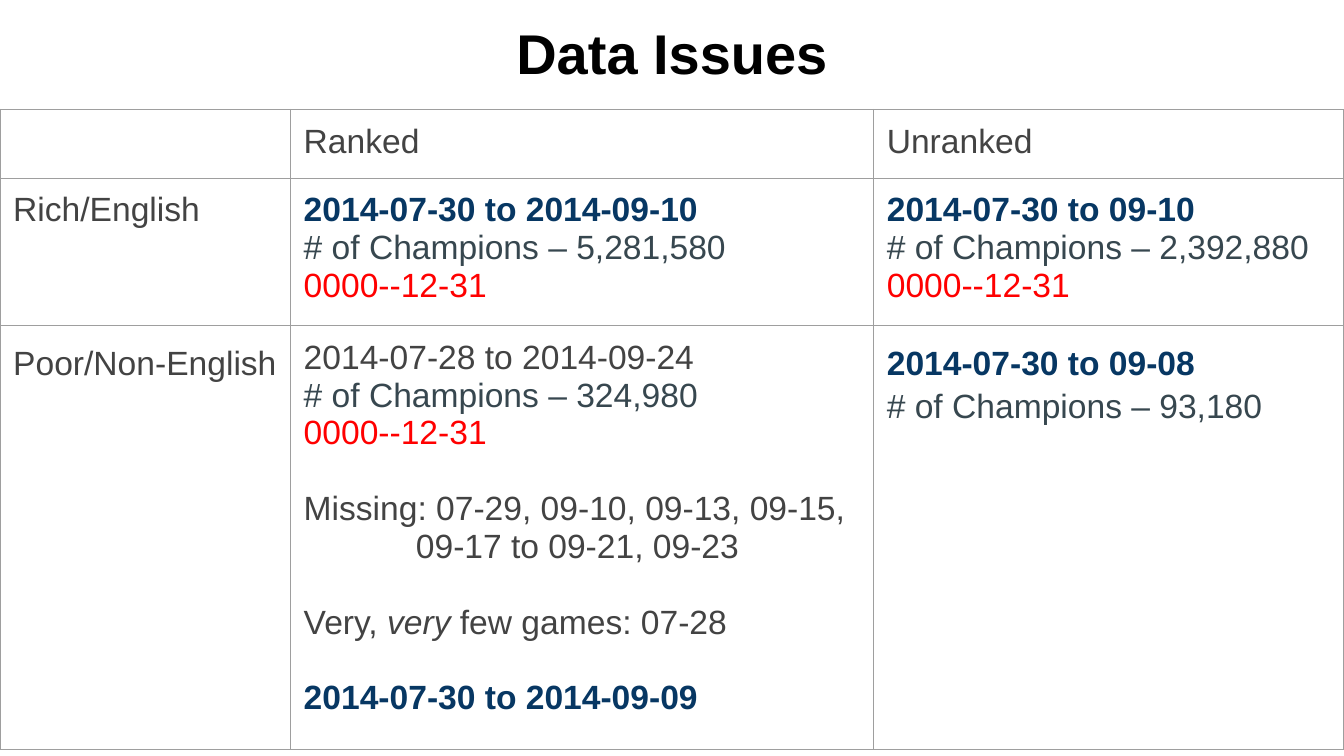
from lxml import etree
from pptx import Presentation
from pptx.dml.color import RGBColor
from pptx.enum.text import MSO_ANCHOR, PP_ALIGN
from pptx.oxml.ns import qn
from pptx.util import Cm, Pt

CENTER = PP_ALIGN.CENTER
TOP = MSO_ANCHOR.TOP

BLACK, GREY, SLATE = "000000", "434343", "37474F"
NAVY, RED, BORDER = "073763", "FF0000", "9E9E9E"
BLANK_LINE = 20.5  # points, the height of one text line


def rgb(value):
    return RGBColor.from_string(value)


def line(text, color=GREY, **style):
    """One line of a cell; text is a string or a list of (text, italic)."""
    runs = [(text, False)] if isinstance(text, str) else text
    return {"runs": runs, "color": color, **style}


def period(text, **style):
    return line(text, NAVY, bold=True, **style)


def champions(count, **style):
    return line(f"# of Champions – {count}", SLATE, **style)


class SlideBuilder:
    font = "Arial"
    inset = Cm(0.25)

    def __init__(self, slide):
        self.slide = slide

    def run(self, paragraph, text, size, color, bold=False, italic=False):
        run = paragraph.add_run()
        run.text = text
        font = run.font
        font.name, font.size = self.font, Pt(size)
        font.bold, font.italic = bold, italic
        font.color.rgb = rgb(color)

    def title(self, text, left, top, width, height):
        box = self.slide.shapes.add_textbox(Cm(left), Cm(top), Cm(width), Cm(height))
        frame = box.text_frame
        frame.word_wrap = True
        frame.vertical_anchor = TOP
        frame.margin_left = frame.margin_right = self.inset
        frame.margin_top, frame.margin_bottom = Cm(0.36), 0
        paragraph = frame.paragraphs[0]
        paragraph.alignment = CENTER
        self.run(paragraph, text, 30, BLACK, bold=True)

    def borders(self, cell):
        properties = cell._tc.get_or_add_tcPr()
        for position, side in enumerate(("a:lnL", "a:lnR", "a:lnT", "a:lnB")):
            edge = etree.Element(qn(side), w=str(Pt(0.75)))
            fill = etree.SubElement(edge, qn("a:solidFill"))
            etree.SubElement(fill, qn("a:srgbClr"), val=BORDER)
            properties.insert(position, edge)

    def cell(self, cell, lines):
        cell.fill.background()
        cell.vertical_anchor = TOP
        cell.margin_left = cell.margin_right = self.inset
        cell.margin_top = cell.margin_bottom = self.inset
        self.borders(cell)
        frame = cell.text_frame
        for index, item in enumerate(lines):
            paragraph = frame.add_paragraph() if index else frame.paragraphs[0]
            if "indent" in item:
                paragraph._p.get_or_add_pPr().set("marL", str(Cm(item["indent"])))
            if "before" in item:
                paragraph.space_before = Pt(item["before"])
            paragraph.line_spacing = item.get("spacing", 1.0)
            for text, italic in item["runs"]:
                self.run(paragraph, text, 18, item["color"],
                         item.get("bold", False), italic)

    def table(self, content, left, top, widths, heights):
        table = self.slide.shapes.add_table(
            len(heights), len(widths), Cm(left), Cm(top),
            Cm(sum(widths)), Cm(sum(heights))).table
        table.first_row = table.horz_banding = False
        for column, width in zip(table.columns, widths):
            column.width = Cm(width)
        for row, height, row_content in zip(table.rows, heights, content):
            row.height = Cm(height)
            for cell, lines in zip(row.cells, row_content):
                self.cell(cell, lines)


def main():
    deck = Presentation()
    deck.slide_width, deck.slide_height = Cm(25.4), Cm(14.29)
    builder = SlideBuilder(deck.slides.add_slide(deck.slide_layouts[6]))

    # Heading
    builder.title("Data Issues", 0.86, 0, 23.68, 1.6)

    # Periods and counts for each data set
    bad_date = line("0000--12-31", RED)
    header = [[], [line("Ranked")], [line("Unranked")]]
    rich = [
        [line("Rich/English")],
        [period("2014-07-30 to 2014-09-10"), champions("5,281,580"), bad_date],
        [period("2014-07-30 to 09-10"), champions("2,392,880"), bad_date],
    ]
    poor = [
        [line("Poor/Non-English", spacing=1.15)],
        [
            line("2014-07-28 to 2014-09-24"),
            champions("324,980"),
            bad_date,
            line("Missing: 07-29, 09-10, 09-13, 09-15,", before=BLANK_LINE),
            line("09-17 to 09-21, 09-23", indent=2.12),
            line([("Very, ", False), ("very", True), (" few games: 07-28", False)],
                 before=BLANK_LINE),
            period("2014-07-30 to 2014-09-09", before=BLANK_LINE),
        ],
        [period("2014-07-30 to 09-08", spacing=1.15),
         champions("93,180", spacing=1.15)],
    ]
    builder.table([header, rich, poor], 0, 2.07,
                  widths=[5.49, 11.02, 8.89], heights=[1.3, 2.64, 7.7])

    deck.save("out.pptx")


if __name__ == "__main__":
    main()
